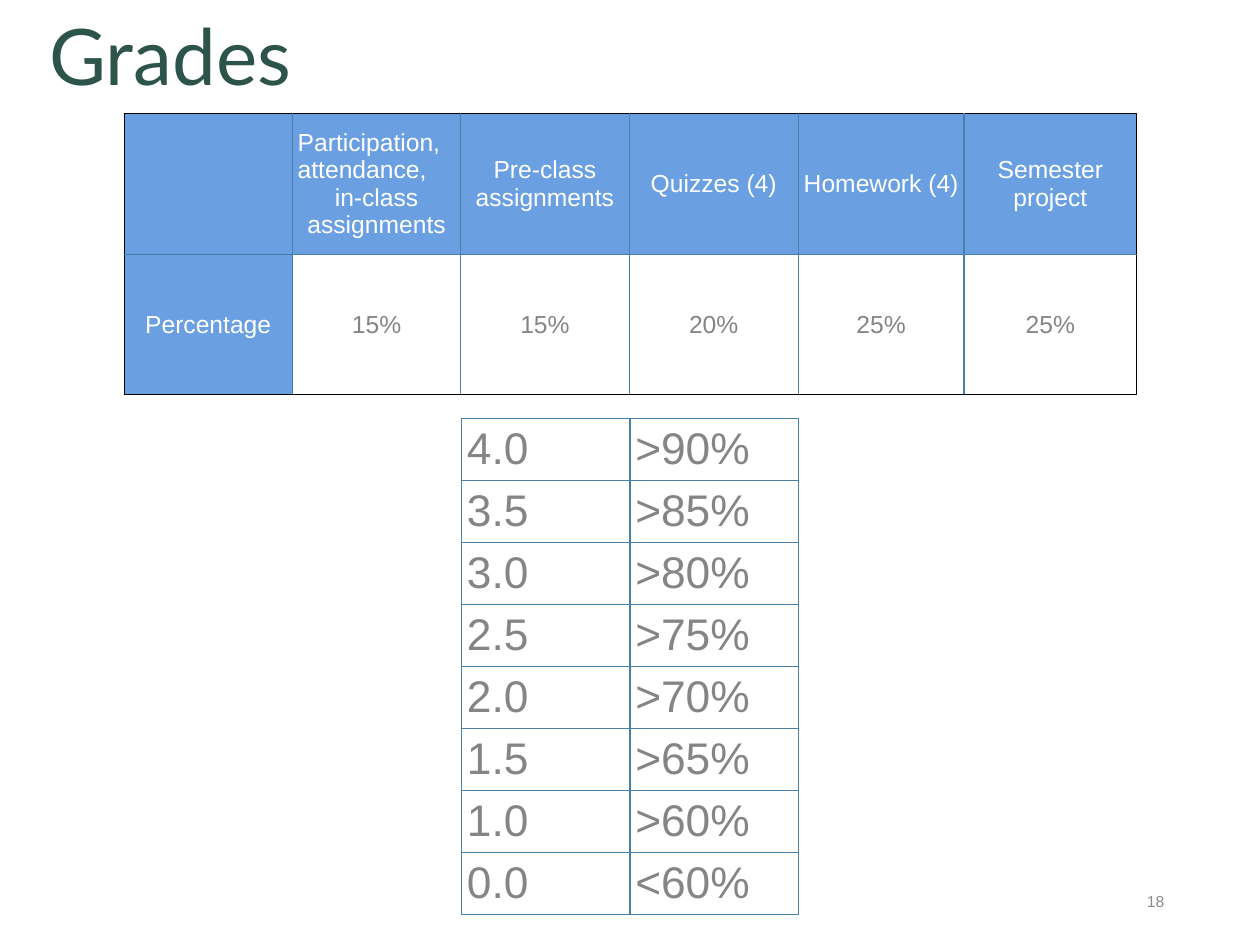
from lxml.etree import SubElement
from pptx import Presentation
from pptx.dml.color import RGBColor
from pptx.enum.text import MSO_ANCHOR, PP_ALIGN
from pptx.oxml.ns import qn
from pptx.util import Inches, Pt

SLIDE_WIDTH, SLIDE_HEIGHT = 14.22, 10.67
HEADER_BLUE, LINE_BLUE, BLACK = "0F65CF", "4780AA", "000000"
WHITE, TEXT_GRAY, NUMBER_GRAY, TITLE_GREEN = "FFFFFF", "858585", "8C8C8C", "2D544A"
HEADER_OPACITY = 62

WEIGHTS = [
    ["", "Participation,\nattendance,\nin-class assignments", "Pre-class assignments",
     "Quizzes (4)", "Homework (4)", "Semester project"],
    ["Percentage", "15%", "15%", "20%", "25%", "25%"],
]
SCALE = [
    ["4.0", ">90%"], ["3.5", ">85%"], ["3.0", ">80%"], ["2.5", ">75%"],
    ["2.0", ">70%"], ["1.5", ">65%"], ["1.0", ">60%"], ["0.0", "<60%"],
]


def color(hex_string):
    return RGBColor.from_string(hex_string)


def format_text(text_frame, size, hex_string, alignment, font_name="Arial"):
    for paragraph in text_frame.paragraphs:
        paragraph.alignment = alignment
        for run in paragraph.runs:
            run.font.name = font_name
            run.font.size = Pt(size)
            run.font.color.rgb = color(hex_string)


def add_label(slide, box, text, size, hex_string, alignment, font_name="Arial"):
    shape = slide.shapes.add_textbox(*map(Inches, box))
    text_frame = shape.text_frame
    text_frame.word_wrap = True
    text_frame.vertical_anchor = MSO_ANCHOR.MIDDLE
    text_frame.text = text
    format_text(text_frame, size, hex_string, alignment, font_name)
    return text_frame


def set_borders(cell, side_colors):
    """Draw the left, right, top and bottom lines, which must precede the fill."""
    properties = cell._tc.get_or_add_tcPr()
    for position, (side, hex_string) in enumerate(zip("LRTB", side_colors)):
        line = SubElement(properties, qn(f"a:ln{side}"), w=str(Pt(1)))
        fill = SubElement(line, qn("a:solidFill"))
        SubElement(fill, qn("a:srgbClr"), val=hex_string)
        properties.insert(position, line)


def fill_header(cell):
    cell.fill.solid()
    cell.fill.fore_color.rgb = color(HEADER_BLUE)
    tint = cell._tc.tcPr.find(qn("a:solidFill")).find(qn("a:srgbClr"))
    SubElement(tint, qn("a:alpha"), val=str(HEADER_OPACITY * 1000))


def add_grid(slide, box, rows, column_widths, size, alignment, has_headers, outline):
    """Place a table; headers are the first row and the first column."""
    row_count, column_count = len(rows), len(column_widths)
    frame = slide.shapes.add_table(row_count, column_count, *map(Inches, box))
    table = frame.table
    table.first_row = table.horz_banding = False
    for column, width in zip(table.columns, column_widths):
        column.width = Inches(width)
    for row_index, values in enumerate(rows):
        table.rows[row_index].height = Inches(box[3] / row_count)
        for column_index, value in enumerate(values):
            cell = table.cell(row_index, column_index)
            is_header = has_headers and 0 in (row_index, column_index)
            cell.margin_left = cell.margin_right = Inches(0.06)
            cell.margin_top = cell.margin_bottom = Inches(0.05)
            cell.vertical_anchor = MSO_ANCHOR.MIDDLE
            cell.text_frame.text = value
            format_text(cell.text_frame, size, WHITE if is_header else TEXT_GRAY, alignment)
            if is_header:
                fill_header(cell)
            else:
                cell.fill.background()
            on_edge = (column_index == 0, column_index == column_count - 1,
                       row_index == 0, row_index == row_count - 1)
            set_borders(cell, [outline if edge else LINE_BLUE for edge in on_edge])
    return table


def add_weights(slide, box):
    widths = [1.9, 1.9, 1.9, 1.91, 1.87, 1.95]
    table = add_grid(slide, box, WEIGHTS, widths, 20, PP_ALIGN.CENTER, True, BLACK)
    for paragraph in table.cell(0, 1).text_frame.paragraphs[:2]:
        paragraph.alignment = PP_ALIGN.LEFT


def add_scale(slide, box):
    widths = [box[2] / 2] * 2
    add_grid(slide, box, SCALE, widths, 36, PP_ALIGN.LEFT, False, LINE_BLUE)


def add_title(slide, box):
    text_frame = add_label(slide, box, "Grades", 63.4, TITLE_GREEN, PP_ALIGN.LEFT, "Lato")
    text_frame.paragraphs[0].line_spacing = 0.9


def main():
    presentation = Presentation()
    presentation.slide_width = Inches(SLIDE_WIDTH)
    presentation.slide_height = Inches(SLIDE_HEIGHT)
    slide = presentation.slides.add_slide(presentation.slide_layouts[6])
    add_title(slide, (0.46, 0.1, 13.3, 1.17))
    add_label(slide, (10.04, 9.89, 3.2, 0.57), "18", 12.8, NUMBER_GRAY, PP_ALIGN.RIGHT)
    add_weights(slide, (1.4, 1.28, 11.43, 3.18))
    add_scale(slide, (5.21, 4.72, 3.8, 5.36))
    presentation.save("out.pptx")


if __name__ == "__main__":
    main()
